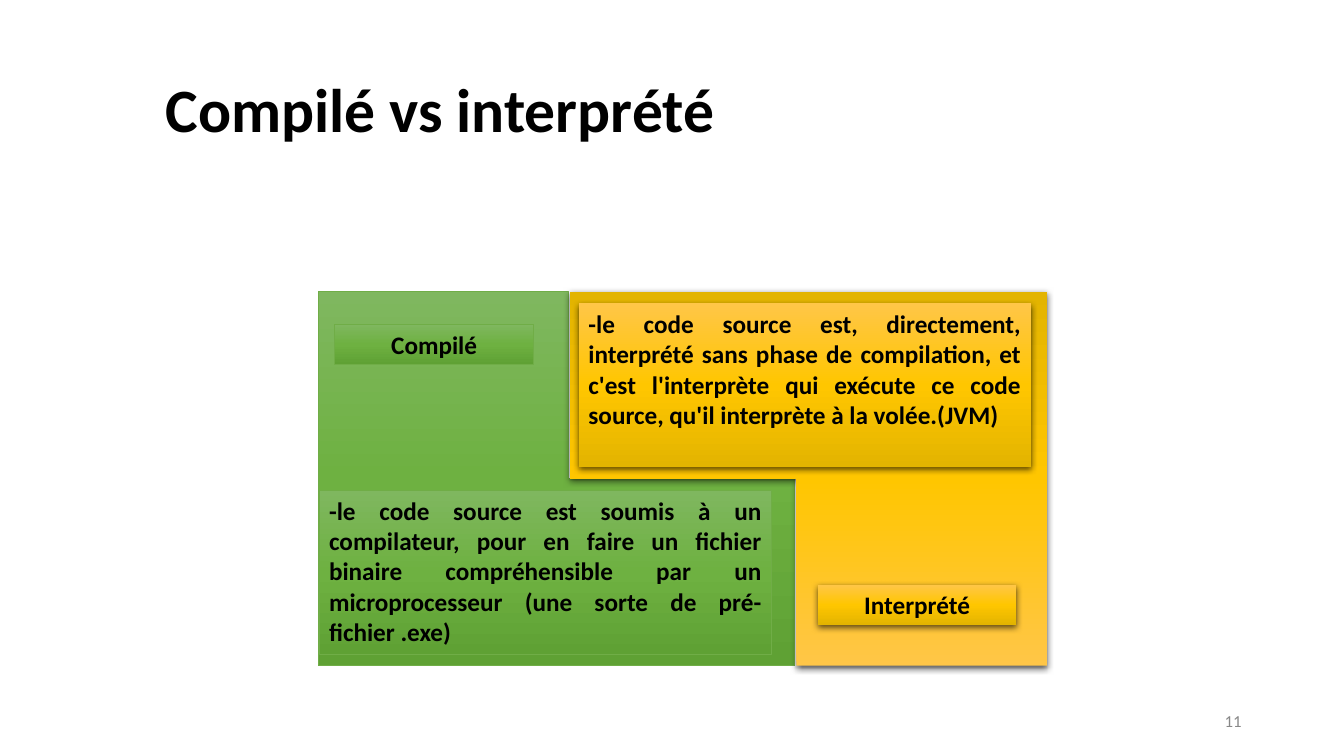
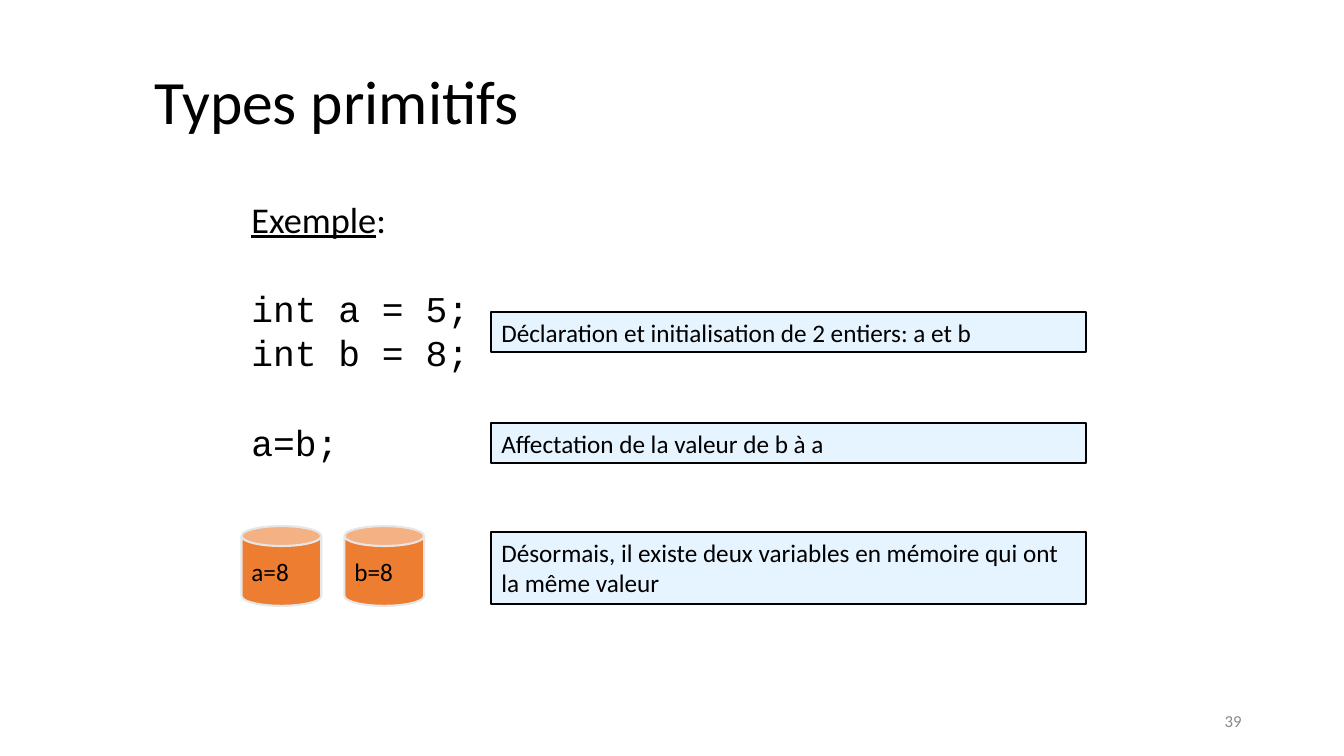
from dataclasses import dataclass

from lxml import etree
from pptx import Presentation
from pptx.dml.color import RGBColor
from pptx.enum.shapes import MSO_SHAPE
from pptx.enum.text import MSO_ANCHOR, MSO_AUTO_SIZE, PP_ALIGN
from pptx.oxml.ns import qn
from pptx.util import Emu, Pt

RECT, CORNER, CAN = MSO_SHAPE.RECTANGLE, MSO_SHAPE.CORNER, MSO_SHAPE.CAN
TOP, MIDDLE = MSO_ANCHOR.TOP, MSO_ANCHOR.MIDDLE
LEFT, CENTER, RIGHT = PP_ALIGN.LEFT, PP_ALIGN.CENTER, PP_ALIGN.RIGHT
JUSTIFY, FIXED = PP_ALIGN.JUSTIFY, MSO_AUTO_SIZE.NONE
TITLE_ONLY = 5


@dataclass(frozen=True)
class Theme:
    font: str = "Calibri"
    mono: str = "Courier New"
    ink: str = "000000"
    grey: str = "888888"
    pale: str = "E6F4FF"
    orange: str = "ED7D31"
    rim: str = "E7E6E6"
    edge: str = "70AD47"
    green: tuple = ("7FB75F", "6EB141", "5FA134")
    gold: tuple = ("FFC647", "FFC600", "E3B400")
    head: int = 44
    code: float = 25.9
    body: int = 18
    foot: int = 12


THEME = Theme()


def px(n):
    return Emu(n * 9525)


def area(*box):
    return [px(n) for n in box]


def rgb(code):
    return RGBColor.from_string(code)


# Text
def style(para, size, color=THEME.ink, bold=False, font=THEME.font, align=LEFT):
    para.alignment = align
    face = para.font
    face.name, face.size, face.bold = font, Pt(size), bold
    face.color.rgb = rgb(color)


def write(shape, text, size, anchor=TOP, **look):
    frame = shape.text_frame
    frame.word_wrap = True
    frame.auto_size = FIXED
    frame.vertical_anchor = anchor
    frame.text = text
    style(frame.paragraphs[0], size, **look)


# Slide with its title and page number
def page(deck, title, left, top, number, bold=False):
    slide = deck.slides.add_slide(deck.slide_layouts[TITLE_ONLY])
    head = slide.shapes.title
    head.left, head.top, head.width, head.height = area(left, top, 1104, 139)
    write(head, title, THEME.head, MIDDLE, bold=bold)
    head.text_frame.paragraphs[0].line_spacing = 0.9
    foot = slide.shapes.add_textbox(*area(904, 667, 288, 38))
    write(foot, number, THEME.foot, MIDDLE, color=THEME.grey, align=RIGHT)
    return slide


# Shapes
def block(shapes, kind, box, line=None, width=1.5):
    shape = shapes.add_shape(kind, *area(*box))
    shape.shadow.inherit = False
    if line:
        shape.line.color.rgb = rgb(line)
        shape.line.width = Pt(width)
    else:
        shape.line.fill.background()
    return shape


def plain(shapes, kind, box, fill, line, text, anchor=TOP):
    shape = block(shapes, kind, box, line)
    shape.fill.solid()
    shape.fill.fore_color.rgb = rgb(fill)
    write(shape, text, THEME.body, anchor)
    return shape


def tint(parent, code):
    return etree.SubElement(parent, qn("a:srgbClr"), val=code)


def blend(shape, colors):
    shape.fill.gradient()
    shape.fill.gradient_angle = 270
    stops = shape.element.spPr.find(".//" + qn("a:gsLst"))
    for stop in list(stops):
        stops.remove(stop)
    for i, code in enumerate(colors):
        tint(etree.SubElement(stops, qn("a:gs"), pos=str(i * 50000)), code)


def shade(shape):
    effects = shape.element.spPr.find(qn("a:effectLst"))
    outer = etree.SubElement(
        effects, qn("a:outerShdw"), blurRad=str(Pt(4.5)), dist=str(Pt(1.5)),
        dir="5400000", algn="ctr", rotWithShape="0")
    etree.SubElement(tint(outer, THEME.ink), qn("a:alpha"), val="63000")


# One half of the comparison: corner, label and definition
def half(slide, left, colors, label, label_at, text, text_at, line=None, turn=0):
    shapes = slide.shapes.add_group_shape().shapes

    def part(kind, box):
        shape = block(shapes, kind, box, line, 0.75)
        blend(shape, colors)
        if not line:
            shade(shape)
        return shape

    corner = part(CORNER, (left, 278, 454, 356))
    corner.adjustments[0], corner.adjustments[1] = 0.5, 0.67
    corner.rotation = turn
    write(part(RECT, (*label_at, 189, 38)), label, THEME.body,
          bold=True, align=CENTER)
    write(part(RECT, (*text_at, 431, 156)), text, THEME.body,
          bold=True, align=JUSTIFY)


def listing(slide, lead, lines):
    frame = slide.shapes.add_textbox(*area(230, 194, 237, 269)).text_frame
    frame.word_wrap = True
    para = frame.paragraphs[0]
    para.line_spacing = 0.7
    style(para, THEME.code)
    word = para.add_run()
    word.text = lead
    word.font.underline = True
    para.add_run().text = ":"
    for text, gap in lines:
        para = frame.add_paragraph()
        para.text = text
        para.line_spacing = 0.7
        para.space_before = Pt(gap)
        style(para, THEME.code, font=THEME.mono)


def versus(deck):
    slide = page(deck, "Compilé vs interprété", 148, 38, "11", bold=True)
    half(slide, 303, THEME.green, "Compilé", (319, 309),
         "-le code source est soumis à un compilateur, pour en faire un "
         "fichier binaire compréhensible par un microprocesseur (une sorte "
         "de pré- fichier .exe)", (304, 467), line=THEME.edge)
    half(slide, 543, THEME.gold, "Interprété", (779, 557),
         "-le code source est, directement, interprété sans phase de "
         "compilation, et c'est l'interprète qui exécute ce code source, "
         "qu'il interprète à la volée.(JVM)", (551, 289), turn=180)


def types(deck):
    slide = page(deck, "Types primitifs", 138, 30, "39")
    listing(slide, "Exemple",
            [("int a = 5;", 42), ("int b = 8;", 10), ("a=b;", 42)])
    notes = [
        (297, 38, "Déclaration et initialisation de 2 entiers: a et b"),
        (403, 38, "Affectation de la valeur de b à a"),
        (507, 68, "Désormais, il existe deux variables en mémoire qui ont "
                  "la même valeur"),
    ]
    for top, high, text in notes:
        plain(slide.shapes, RECT, (468, top, 566, high),
              THEME.pale, THEME.ink, text)
    # Variables in memory
    cans = slide.shapes.add_group_shape().shapes
    for i, text in enumerate(("a=8", "b=8")):
        can = plain(cans, CAN, (230 + 98 * i, 501, 76, 76),
                    THEME.orange, THEME.rim, text, MIDDLE)
        can.adjustments[0] = 0.25


def main():
    deck = Presentation()
    deck.slide_width, deck.slide_height = px(1280), px(720)
    versus(deck)
    types(deck)
    deck.save("out.pptx")


if __name__ == "__main__":
    main()
